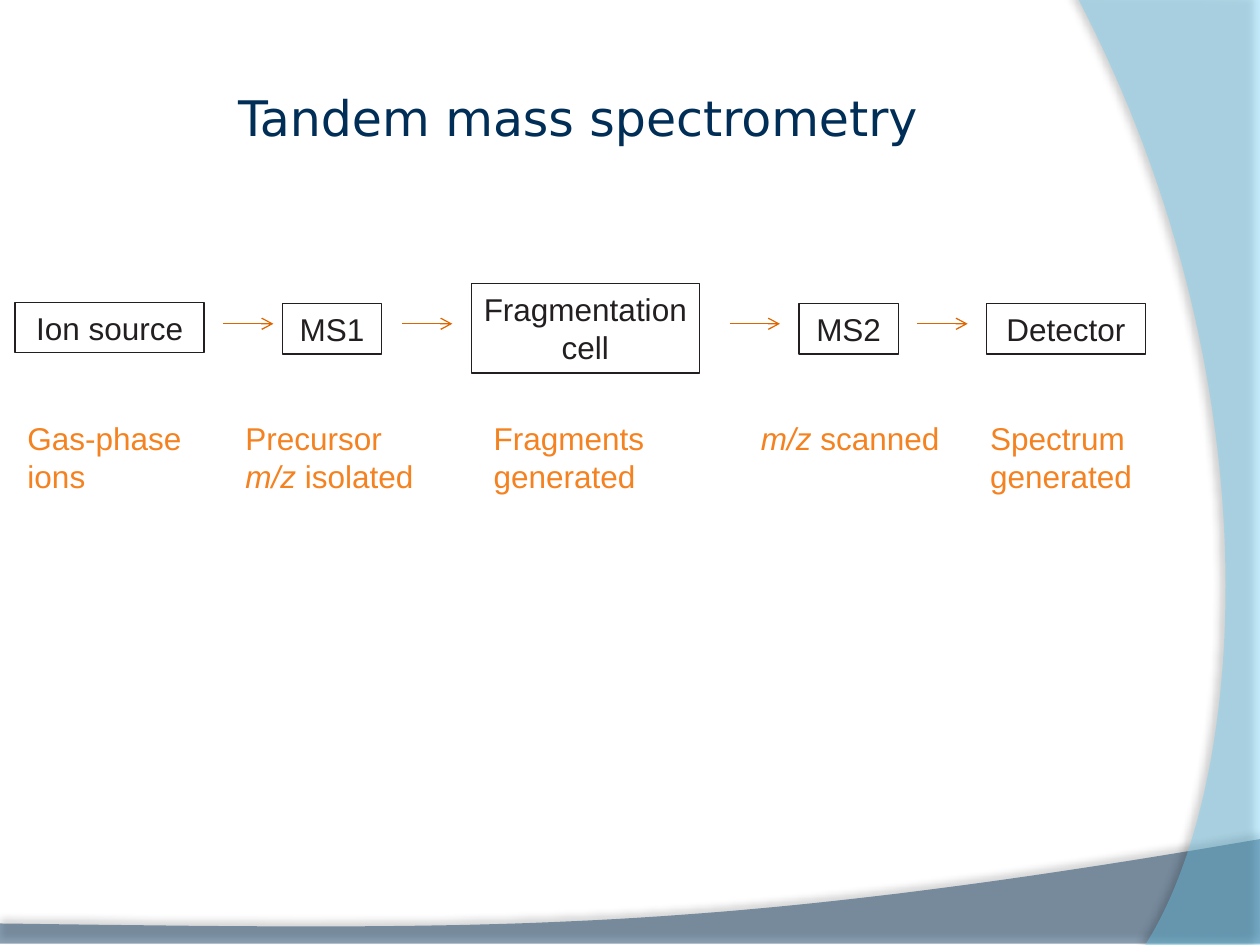
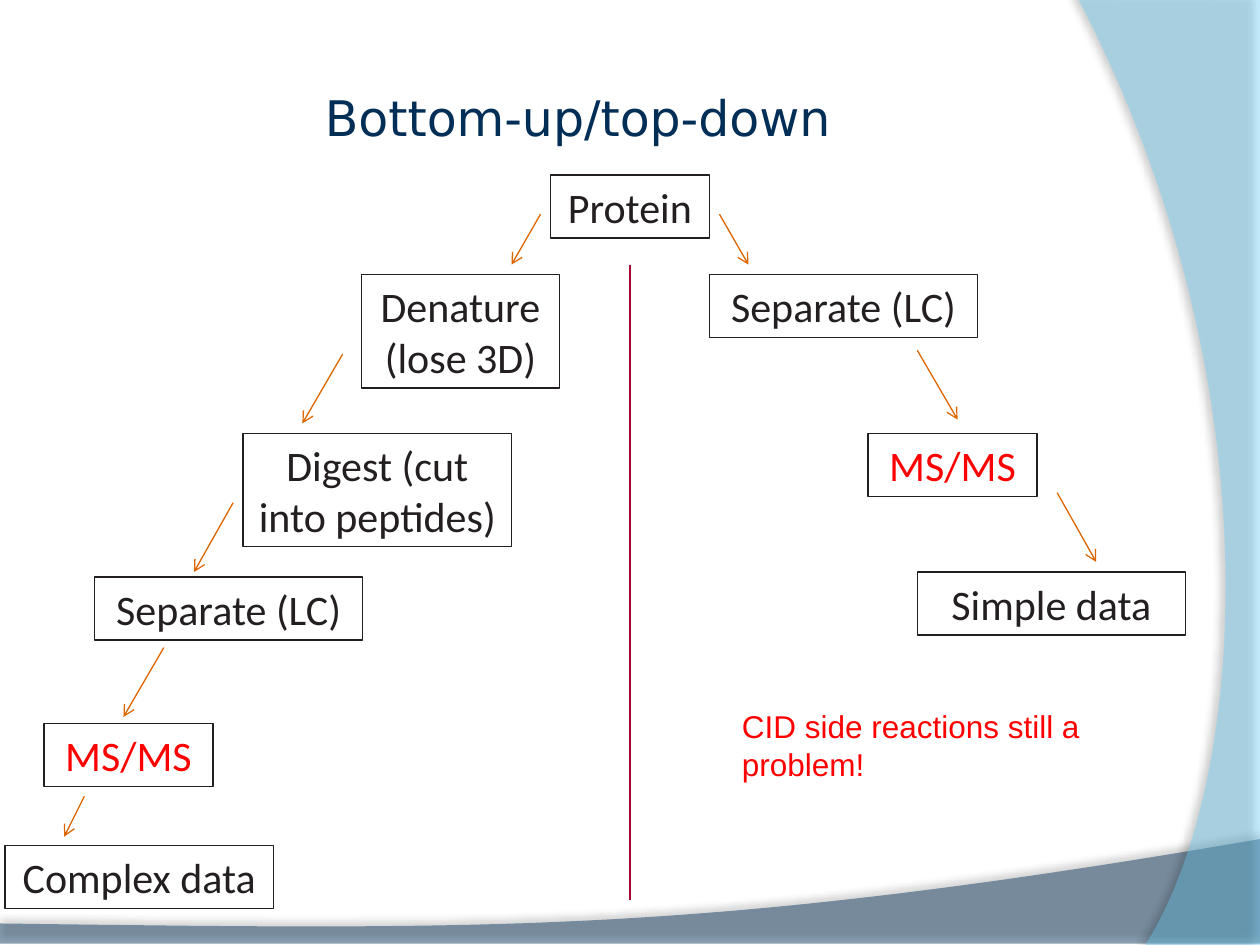
from lxml import etree
from pptx import Presentation
from pptx.dml.color import RGBColor
from pptx.enum.shapes import MSO_CONNECTOR, MSO_SHAPE
from pptx.enum.text import MSO_ANCHOR, MSO_AUTO_SIZE, PP_ALIGN
from pptx.oxml.ns import qn
from pptx.util import Inches, Pt

LINE, RECT = MSO_CONNECTOR.STRAIGHT, MSO_SHAPE.RECTANGLE
LEFT, CENTER = PP_ALIGN.LEFT, PP_ALIGN.CENTER
MIDDLE, GROW = MSO_ANCHOR.MIDDLE, MSO_AUTO_SIZE.SHAPE_TO_FIT_TEXT

COLORS = {"navy": "002E56", "sky": "6DCFF6", "ink": "231F20", "arrow": "DE6600",
          "orange": "F58220", "red": "FF0000", "wine": "A70532", "black": "000000"}

# Bands: color, opacity, straight points, curve controls, shadow (opacity, distance, angle)
BANDS = [
    ("navy", 45, [(0, 7.33), (0, 7.49), (10, 7.49), (10, 6.66)],
     [(5.59, 7.42), (3.91, 7.38), (0, 7.33)], (35, 3.5, 270)),
    ("sky", 40, [(10, -0.02), (10, 7.5), (9.09, 7.5)],
     [(9.92, 6.19), (10.13, 2.98), (8.54, -0.04)], (45, 4, 180)),
]

# Slide 1: boxes are text, left, top, width; captions are text, left, width
STAGES = [
    ("Ion source", 0.12, 2.4, 1.5),
    ("MS1", 2.24, 2.41, 0.79),
    ("Fragmentation\ncell", 3.74, 2.25, 1.81),
    ("MS2", 6.34, 2.41, 0.79),
    ("Detector", 7.83, 2.41, 1.26),
]
FLOW_X = [1.77, 3.19, 5.79, 7.28]
FLOW_Y, FLOW_LEN, NOTE_Y = 2.57, 0.4, 3.28
NOTES = [  # stars enclose italics
    ("Gas-phase ions", 0.12, 1.5),
    ("Precursor *m/z *isolated", 1.85, 1.57),
    ("Fragments generated", 3.82, 1.57),
    ("*m/z *scanned", 5.94, 1.65),
    ("Spectrum generated", 7.76, 1.65),
]

# Slide 2: text, left, top, width, lines
STEPS = [
    ("Protein", 4.37, 1.39, 1.26, 1),
    ("Denature\n(lose 3D)", 2.87, 2.18, 1.57, 2),
    ("Digest (cut into peptides)", 1.93, 3.44, 2.13, 2),
    ("Separate (LC)", 0.75, 4.58, 2.13, 1),
    ("MS/MS", 0.35, 5.74, 1.34, 1),
    ("Complex data", 0.04, 6.71, 2.13, 1),
    ("Separate (LC)", 5.63, 2.18, 2.13, 1),
    ("MS/MS", 6.89, 3.44, 1.34, 1),
    ("Simple data", 7.28, 4.54, 2.13, 1),
]
# Start x, start y, run across, drop
LINKS = [
    (4.29, 1.7, -0.23, 0.4), (2.72, 2.81, -0.32, 0.55), (1.85, 3.99, -0.31, 0.55),
    (1.3, 5.14, -0.32, 0.55), (0.67, 6.32, -0.16, 0.32),
    (5.71, 1.7, 0.23, 0.4), (7.28, 2.78, 0.32, 0.55), (8.39, 3.91, 0.31, 0.55),
]


def rgb(name):
    return RGBColor.from_string(COLORS[name])


def curve(start, ctrls, steps=60):
    """Points along a cubic Bezier curve."""
    pts = [start] + ctrls
    for i in range(1, steps + 1):
        t = i / steps
        w = ((1 - t) ** 3, 3 * t * (1 - t) ** 2, 3 * t * t * (1 - t), t ** 3)
        yield tuple(sum(k * p[axis] for k, p in zip(w, pts)) for axis in (0, 1))


def add_bands(slide, layout):
    """Draw the bands and place them on the shared layout."""
    for n, (color, alpha, pts, ctrls, (dark, dist, angle)) in enumerate(BANDS):
        dots = [(Inches(x), Inches(y)) for x, y in pts + list(curve(pts[-1], ctrls))]
        pen = slide.shapes.build_freeform(*dots[0])
        pen.add_line_segments(dots[1:], close=True)
        band = pen.convert_to_shape()
        band.fill.solid()
        band.fill.fore_color.rgb = rgb(color)
        band.line.fill.background()
        band.shadow.inherit = False
        props = band.element.spPr
        tint = props.find(f"{qn('a:solidFill')}/{qn('a:srgbClr')}")
        etree.SubElement(tint, qn("a:alpha"), val=str(alpha * 1000))
        glow = etree.SubElement(props.find(qn("a:effectLst")), qn("a:outerShdw"),
                                blurRad=str(Pt(4)), dist=str(Pt(dist)),
                                dir=str(angle * 60000), algn="ctr", rotWithShape="0")
        shade = etree.SubElement(glow, qn("a:srgbClr"), val=COLORS["black"])
        etree.SubElement(shade, qn("a:alpha"), val=str(dark * 1000))
        band.element.nvSpPr.cNvPr.set("id", str(20 + n))
        layout.shapes.element.insert(2 + n, band.element)


def style(frame, font, size, color, align):
    for para in frame.paragraphs:
        para.alignment = align
        for run in para.runs:
            run.font.name, run.font.size = font, Pt(size)
            run.font.color.rgb = rgb(color)


def add_title(slide, text):
    title = slide.shapes.title
    title.left, title.top = Inches(0.5), Inches(0.3)
    title.width, title.height = Inches(8.17), Inches(1.25)
    frame = title.text_frame
    frame.text = text
    frame.vertical_anchor = MIDDLE
    frame.margin_left = frame.margin_right = Inches(0.05)
    frame.margin_top = frame.margin_bottom = Inches(0.05)
    style(frame, "DejaVu Sans", 28, "navy", CENTER)


def add_box(slide, text, x, y, w, h, font, size, color="ink"):
    box = slide.shapes.add_shape(RECT, Inches(x), Inches(y), Inches(w), Inches(h))
    box.shadow.inherit = False
    box.fill.background()
    box.line.color.rgb = rgb("ink")
    box.line.width = Pt(0.75)
    frame = box.text_frame
    frame.word_wrap, frame.auto_size = True, GROW
    frame.margin_left = frame.margin_right = Inches(0.08)
    frame.text = text
    style(frame, font, size, color, CENTER)


def add_note(slide, text, x, y, w, h, color):
    note = slide.shapes.add_textbox(Inches(x), Inches(y), Inches(w), Inches(h))
    frame = note.text_frame
    frame.word_wrap, frame.auto_size = True, GROW
    for i, part in enumerate(text.split("*")):
        if part:
            run = frame.paragraphs[0].add_run()
            run.text = part
            run.font.italic = i % 2 == 1
    style(frame, "Arial", 18, color, LEFT)


def add_line(slide, x, y, dx, dy, color="arrow", width=0.75, head=True):
    line = slide.shapes.add_connector(LINE, Inches(x), Inches(y),
                                      Inches(x + dx), Inches(y + dy))
    line.line.color.rgb = rgb(color)
    line.line.width = Pt(width)
    props = line.element.spPr
    if head:
        etree.SubElement(props.find(qn("a:ln")), qn("a:tailEnd"), type="arrow")
    etree.SubElement(props, qn("a:effectLst"))


def main():
    deck = Presentation()
    deck.slide_width, deck.slide_height = Inches(10), Inches(7.5)
    layout = deck.slide_layouts[5]

    # Instrument stages
    slide = deck.slides.add_slide(layout)
    add_bands(slide, layout)
    add_title(slide, "Tandem mass spectrometry")
    for text, x, y, w in STAGES:
        add_box(slide, text, x, y, w, 0.71 if "\n" in text else 0.4, "Arial", 18)
    for x in FLOW_X:
        add_line(slide, x, FLOW_Y, FLOW_LEN, 0)
    for text, x, w in NOTES:
        add_note(slide, text, x, NOTE_Y, w, 0.4 if "scanned" in text else 0.71, "orange")

    # Two routes from protein to data
    slide = deck.slides.add_slide(layout)
    add_title(slide, "Bottom-up/top-down")
    for text, x, y, w, rows in STEPS:
        color = "red" if text == "MS/MS" else "ink"
        add_box(slide, text, x, y, w, 0.1 + 0.4 * rows, "Calibri", 24, color)
    add_line(slide, 5, 2.1, 0, 5.04, "wine", 1.5, head=False)
    for link in LINKS:
        add_line(slide, *link)
    add_note(slide, "CID side reactions still a problem!", 5.79, 5.56, 3.46, 0.71, "red")

    deck.save("out.pptx")


if __name__ == "__main__":
    main()
